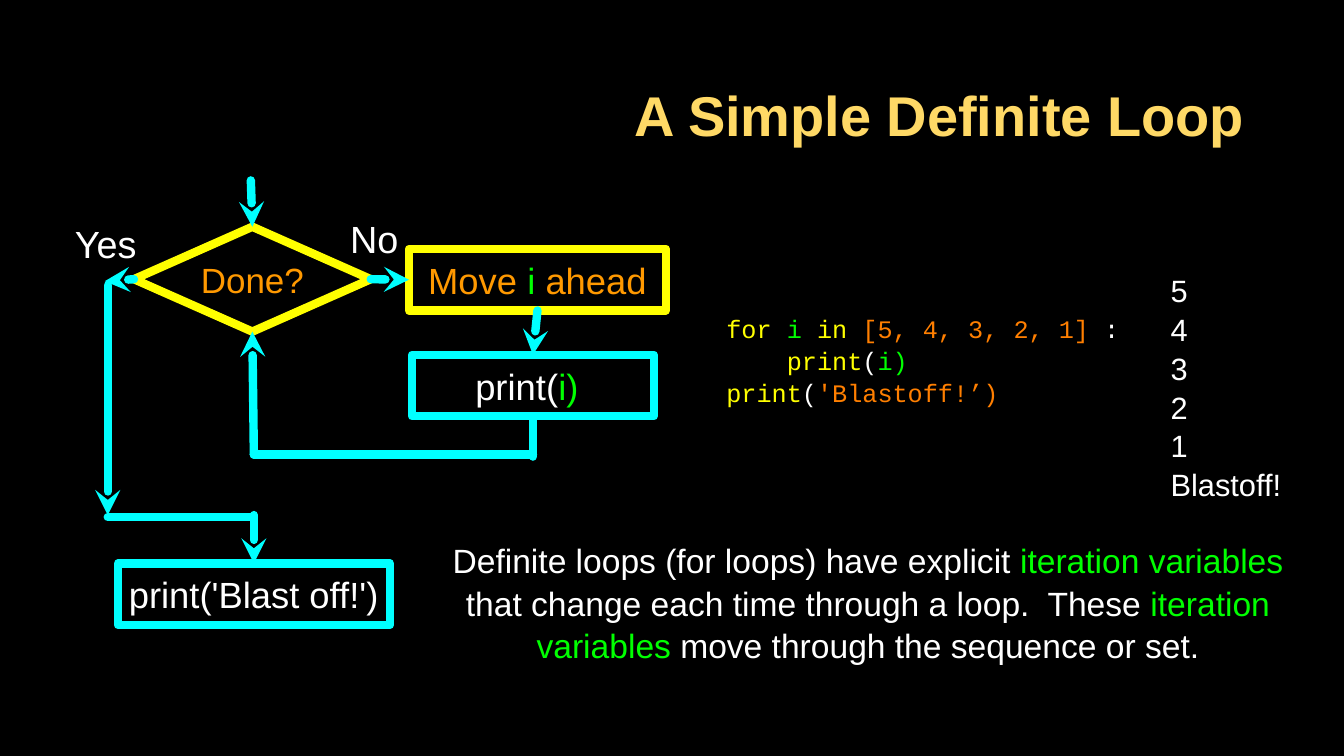
from lxml.etree import SubElement
from pptx import Presentation
from pptx.dml.color import RGBColor
from pptx.enum.shapes import MSO_CONNECTOR, MSO_SHAPE
from pptx.enum.text import MSO_ANCHOR, MSO_AUTO_SIZE, PP_ALIGN
from pptx.oxml.ns import qn
from pptx.util import Inches, Pt

BLACK = RGBColor(0x00, 0x00, 0x00)
WHITE = RGBColor(0xFF, 0xFF, 0xFF)
GOLD = RGBColor(0xFF, 0xD9, 0x66)
YELLOW = RGBColor(0xFF, 0xFF, 0x00)
CYAN = RGBColor(0x00, 0xFF, 0xFF)
GREEN = RGBColor(0x00, 0xFF, 0x00)
ORANGE = RGBColor(0xFF, 0x99, 0x00)
CODE_ORANGE = RGBColor(0xFF, 0x7F, 0x00)

TOP, LEFT, BOTTOM, RIGHT = range(4)
CELL = Inches(0.1)


def write(sp, lines, size=26, font="Arial", align=PP_ALIGN.CENTER, bold=False,
          spacing=1.0, inset=0, right=0):
    """Fill a shape with lines, each a list of (text, colour) runs."""
    tf = sp.text_frame
    tf.word_wrap = True
    tf.auto_size = MSO_AUTO_SIZE.NONE
    tf.vertical_anchor = MSO_ANCHOR.MIDDLE
    tf.margin_left = tf.margin_top = tf.margin_bottom = Inches(inset)
    tf.margin_right = Inches(inset + right)
    for i, runs in enumerate(lines):
        p = tf.add_paragraph() if i else tf.paragraphs[0]
        p.alignment = align
        p.line_spacing = spacing
        for text, color in runs:
            r = p.add_run()
            r.text = text
            r.font.size = Pt(size)
            r.font.name = font
            r.font.bold = bold
            r.font.color.rgb = color


class Flow:
    """Draw flowchart elements on one slide, measured in grid cells."""

    def __init__(self, prs):
        """Add a black title-only slide."""
        self.s = prs.slides.add_slide(prs.slide_layouts[5])
        self.s.background.fill.solid()
        self.s.background.fill.fore_color.rgb = BLACK

    def grid(self, *cells):
        """Convert grid cells to slide lengths."""
        return [round(c * CELL) for c in cells]

    def stroke(self, sp, color):
        """Give a shape the thick rounded line and return its element."""
        sp.line.color.rgb = color
        sp.line.width = Pt(6)
        ln = sp.line._get_or_add_ln()
        ln.set("cap", "rnd")
        SubElement(ln, qn("a:round"))
        return ln

    def title(self, at, text):
        """Place the slide title."""
        sp = self.s.shapes.title
        sp.left, sp.top, sp.width, sp.height = self.grid(*at)
        write(sp, [[(text, GOLD)]], size=40, align=PP_ALIGN.RIGHT, bold=True,
              inset=0.03)

    def text(self, at, lines, **style):
        """Add a text box."""
        write(self.s.shapes.add_textbox(*self.grid(*at)), lines, **style)

    def box(self, at, color, runs, kind=MSO_SHAPE.RECTANGLE, **style):
        """Add an outlined flowchart step."""
        sp = self.s.shapes.add_shape(kind, *self.grid(*at))
        sp.shadow.inherit = False
        sp.fill.background()
        self.stroke(sp, color)
        write(sp, [runs], **style)
        return sp

    def line(self, start, end, arrow=True):
        """Join two ends, each a grid point or a (shape, side) pair."""
        points = [(0, 0) if hasattr(e[0], "text_frame") else self.grid(*e)
                  for e in (start, end)]
        c = self.s.shapes.add_connector(MSO_CONNECTOR.STRAIGHT, *points[0], *points[1])
        for e, connect in ((start, c.begin_connect), (end, c.end_connect)):
            if hasattr(e[0], "text_frame"):
                connect(*e)
        ln = self.stroke(c, CYAN)
        if arrow:
            SubElement(ln, qn("a:tailEnd"), type="stealth")
        SubElement(c._element.spPr, qn("a:effectLst"))


def main():
    """Build the definite loop slide."""
    prs = Presentation()
    prs.slide_width, prs.slide_height = Inches(13.34), Inches(7.5)
    f = Flow(prs)
    f.title((9.5, 6.7, 114.3, 9.3), "A Simple Definite Loop")

    done = f.box((13.3, 22.5, 23.5, 10.4), YELLOW, [("Done?", ORANGE)],
                 kind=MSO_SHAPE.DIAMOND, size=25)
    move = f.box((40.6, 24.7, 25.5, 6.1), YELLOW,
                 [("Move ", ORANGE), ("i", GREEN), (" ahead", ORANGE)])
    show = f.box((40.9, 35.2, 24, 6.1), CYAN,
                 [("print(", WHITE), ("i)", GREEN)], right=0.12)
    blast = f.box((11.7, 55.9, 27, 6.1), CYAN, [("print('Blast off!')", WHITE)])

    f.line((24.9, 17.9), (done, TOP))
    f.line((done, RIGHT), (move, LEFT))
    f.line((move, BOTTOM), (show, TOP))
    f.line((show, BOTTOM), (52.9, 45.3), arrow=False)
    f.line((52.9, 45.1), (25.2, 45.1), arrow=False)
    f.line((25.2, 45.1), (done, BOTTOM))
    f.line((done, LEFT), (10.4, 27.9))
    f.line((10.7, 28.3), (10.7, 51.1))
    f.line((10.7, 51.3), (25.2, 51.3), arrow=False)
    f.line((25.2, 51.1), (blast, TOP))

    f.text((5.7, 21.6, 9.6, 5.1), [[("Yes", WHITE)]], size=27)
    f.text((34.2, 21.1, 5.9, 5.1), [[("No", WHITE)]], size=27)
    f.text((72.1, 28.9, 41.9, 13.6), [
        [("for ", YELLOW), ("i ", GREEN), ("in ", YELLOW),
         ("[5, 4, 3, 2, 1] ", CODE_ORANGE), (":", WHITE)],
        [("    print", YELLOW), ("(", WHITE), ("i)", GREEN)],
        [("print", YELLOW), ("(", WHITE), ("'Blastoff!’)", CODE_ORANGE)],
    ], size=18, font="Courier New", align=PP_ALIGN.LEFT, spacing=1.05)
    f.text((116.2, 25.1, 13.6, 26.5),
           [[(word, WHITE)] for word in ("5", "4", "3", "2", "1", "Blastoff!")],
           size=22, align=PP_ALIGN.LEFT, spacing=1.05)
    f.text((44.6, 52.9, 83.1, 13.6), [[
        ("Definite loops (for loops) have explicit ", WHITE),
        ("iteration variables ", GREEN),
        ("that change each time through a loop.  These ", WHITE),
        ("iteration variables", GREEN),
        (" move through the sequence or set.", WHITE),
    ]], size=24, spacing=1.05)
    prs.save("out.pptx")


if __name__ == "__main__":
    main()
